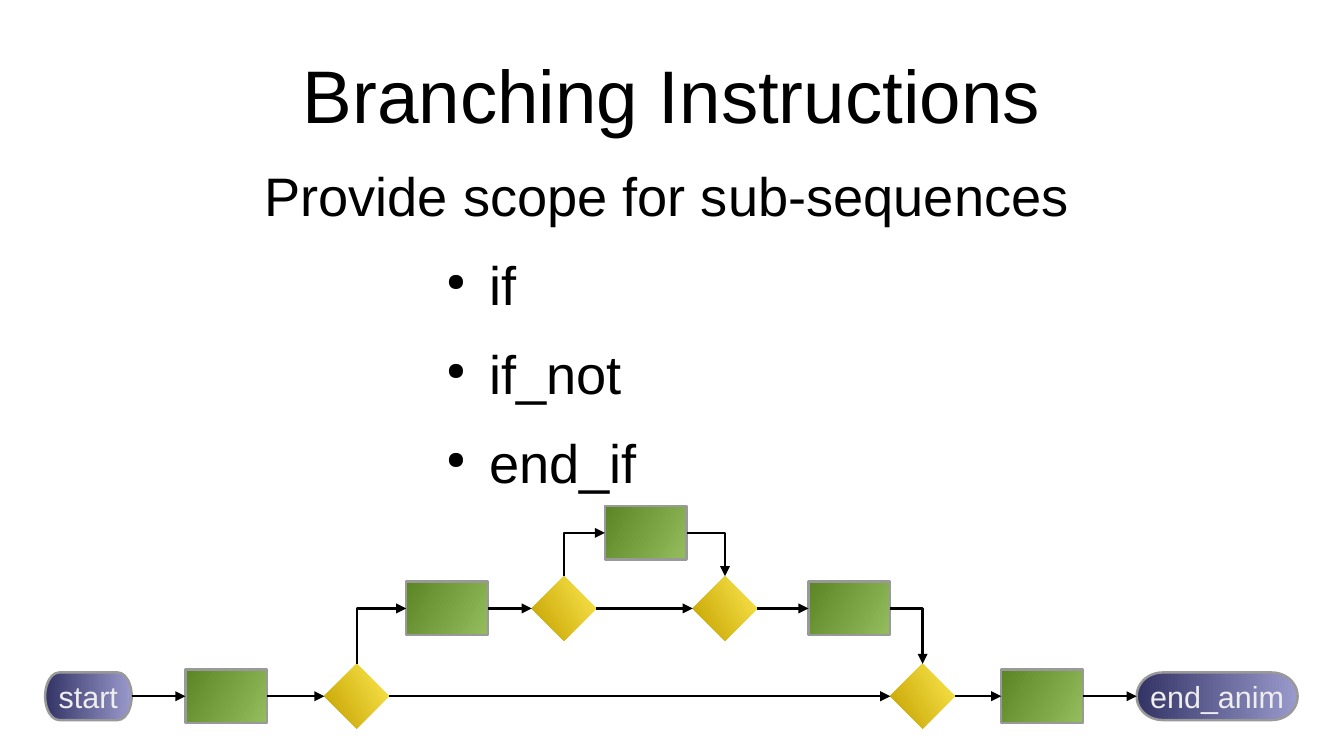
from dataclasses import dataclass

from lxml import etree
from pptx import Presentation
from pptx.dml.color import RGBColor
from pptx.enum.shapes import MSO_CONNECTOR, MSO_SHAPE
from pptx.enum.text import MSO_ANCHOR, PP_ALIGN
from pptx.oxml.ns import qn
from pptx.util import Inches, Pt

TERMINATOR = MSO_SHAPE.FLOWCHART_TERMINATOR
PROCESS = MSO_SHAPE.FLOWCHART_PROCESS
DECISION = MSO_SHAPE.FLOWCHART_DECISION
STRAIGHT, ELBOW = MSO_CONNECTOR.STRAIGHT, MSO_CONNECTOR.ELBOW
CENTER, LEFT_ALIGN = PP_ALIGN.CENTER, PP_ALIGN.LEFT
TOP_ANCHOR, MIDDLE = MSO_ANCHOR.TOP, MSO_ANCHOR.MIDDLE
TOP, LEFT, BOTTOM, RIGHT = range(4)  # connection sites


@dataclass(frozen=True)
class Theme:
    font: str = "Arial"
    title_size: int = 44
    body_size: int = 32
    label_size: int = 18
    paragraph_gap: float = 14.2
    line_width: float = 1.45
    ink: str = "000000"
    label: str = "EEEEEE"
    outline: str = "999999"
    # Gradient: first colour, last colour, clockwise angle
    terminal: tuple = ("333366", "9999CC", 0)
    step: tuple = ("94BD5E", "5C8526", 210)
    branch: tuple = ("FCE94F", "C4A000", 150)


class FlowSlide:
    def __init__(self, slide, theme):
        self.slide = slide
        self.theme = theme

    def frame(self, shape, anchor, margins=(0, 0), wrap=True):
        frame = shape.text_frame
        frame.word_wrap = wrap
        frame.vertical_anchor = anchor
        frame.margin_left = frame.margin_right = Inches(margins[0])
        frame.margin_top = frame.margin_bottom = Inches(margins[1])
        return frame

    def add_text(self, paragraph, text, size, color, align=CENTER):
        paragraph.alignment = align
        run = paragraph.add_run()
        run.text = text
        run.font.name = self.theme.font
        run.font.size = Pt(size)
        run.font.color.rgb = RGBColor.from_string(color)

    def title(self, text, left, top, width, height):
        title = self.slide.shapes.title
        title.left, title.top = Inches(left), Inches(top)
        title.width, title.height = Inches(width), Inches(height)
        frame = self.frame(title, MIDDLE)
        self.add_text(frame.paragraphs[0], text, self.theme.title_size, self.theme.ink)

    def body(self, lead, items, left, top, width, height):
        box = self.slide.shapes.add_textbox(
            Inches(left), Inches(top), Inches(width), Inches(height))
        frame = self.frame(box, TOP_ANCHOR)
        size, ink = self.theme.body_size, self.theme.ink
        self.add_text(frame.paragraphs[0], lead, size, ink)
        for item in items:
            paragraph = frame.add_paragraph()
            paragraph.space_before = Pt(self.theme.paragraph_gap)
            self.add_text(paragraph, item, size, ink, LEFT_ALIGN)
            self.bullet(paragraph)

    def bullet(self, paragraph):
        properties = paragraph._p.get_or_add_pPr()
        properties.set("marL", str(Inches(3.5)))
        properties.set("indent", str(Inches(-0.35)))
        etree.SubElement(properties, qn("a:buSzPct"), val="45000")
        etree.SubElement(properties, qn("a:buChar"), char="●")

    def node(self, kind, left, middle, width, height, gradient, outlined=True):
        shape = self.slide.shapes.add_shape(
            kind, Inches(left), Inches(middle - height / 2), Inches(width), Inches(height))
        shape.shadow.inherit = False
        first, last, angle = gradient
        shape.fill.gradient()
        shape.fill.gradient_angle = -angle % 360
        for stop, color in zip(shape.fill.gradient_stops, (first, last)):
            stop.color.rgb = RGBColor.from_string(color)
        if outlined:
            shape.line.color.rgb = RGBColor.from_string(self.theme.outline)
            shape.line.width = Pt(self.theme.line_width)
        else:
            shape.line.fill.background()
        return shape

    def terminal(self, text, left, middle, width):
        shape = self.node(TERMINATOR, left, middle, width, 0.39, self.theme.terminal)
        frame = self.frame(shape, MIDDLE, (0.11, 0.06), wrap=False)
        self.add_text(frame.paragraphs[0], text, self.theme.label_size, self.theme.label)
        return shape

    def step(self, left, middle):
        return self.node(PROCESS, left, middle, 0.67, 0.44, self.theme.step)

    def branch(self, left, middle):
        return self.node(DECISION, left, middle, 0.53, 0.53, self.theme.branch, False)

    def arrow(self, source, target, out=RIGHT, into=LEFT):
        kind = STRAIGHT if (out, into) == (RIGHT, LEFT) else ELBOW
        link = self.slide.shapes.add_connector(kind, 0, 0, 0, 0)
        link.begin_connect(source, out)
        link.end_connect(target, into)
        link.line.color.rgb = RGBColor.from_string(self.theme.ink)
        link.line.width = Pt(self.theme.line_width)
        properties = link._element.spPr
        etree.SubElement(properties.find(qn("a:ln")), qn("a:tailEnd"), type="triangle")
        etree.SubElement(properties, qn("a:effectLst"))
        if kind == ELBOW:
            properties.find(qn("a:prstGeom")).set("prst", "bentConnector2")
        if out == TOP:
            self.turn_upward(link)

    def turn_upward(self, link):
        """Turn a right-then-down corner into an up-then-right one."""
        left, top, width, height = link.left, link.top, link.width, link.height
        link.left = left + (width - height) // 2
        link.top = top + (height - width) // 2
        link.width, link.height = height, width
        transform = link._element.spPr.find(qn("a:xfrm"))
        transform.attrib.pop("flipV", None)
        transform.set("rot", str(270 * 60000))


def main():
    deck = Presentation()
    deck.slide_width, deck.slide_height = Inches(11.02), Inches(6.2)
    page = FlowSlide(deck.slides.add_slide(deck.slide_layouts[5]), Theme())

    # Heading and instruction list
    page.title("Branching Instructions", 0.55, 0.25, 9.92, 1.04)
    page.body("Provide scope for sub-sequences", ["if", "if_not", "end_if"],
              0.51, 1.33, 9.92, 3.31)

    # Flow nodes on three levels
    main_level, outer_level, inner_level = 5.71, 4.99, 4.37
    start = page.terminal("start", 0.37, main_level, 0.71)
    end = page.terminal("end_anim", 9.32, main_level, 1.32)
    first_step, last_step = [page.step(x, main_level) for x in (1.52, 8.21)]
    outer_before, outer_after = [page.step(x, outer_level) for x in (3.33, 6.63)]
    inner_step = page.step(4.96, inner_level)
    outer_if, outer_end = [page.branch(x, main_level) for x in (2.66, 7.3)]
    inner_if, inner_end = [page.branch(x, outer_level) for x in (4.36, 5.68)]

    # Arrows along the main and outer sequences
    main_sequence = [start, first_step, outer_if, outer_end, last_step, end]
    outer_sequence = [outer_before, inner_if, inner_end, outer_after]
    for sequence in (main_sequence, outer_sequence):
        for source, target in zip(sequence, sequence[1:]):
            page.arrow(source, target)

    # Arrows into and out of each sub-sequence
    for opening, first, last, closing in (
            (outer_if, outer_before, outer_after, outer_end),
            (inner_if, inner_step, inner_step, inner_end)):
        page.arrow(opening, first, out=TOP)
        page.arrow(last, closing, into=TOP)

    deck.save("out.pptx")


if __name__ == "__main__":
    main()
